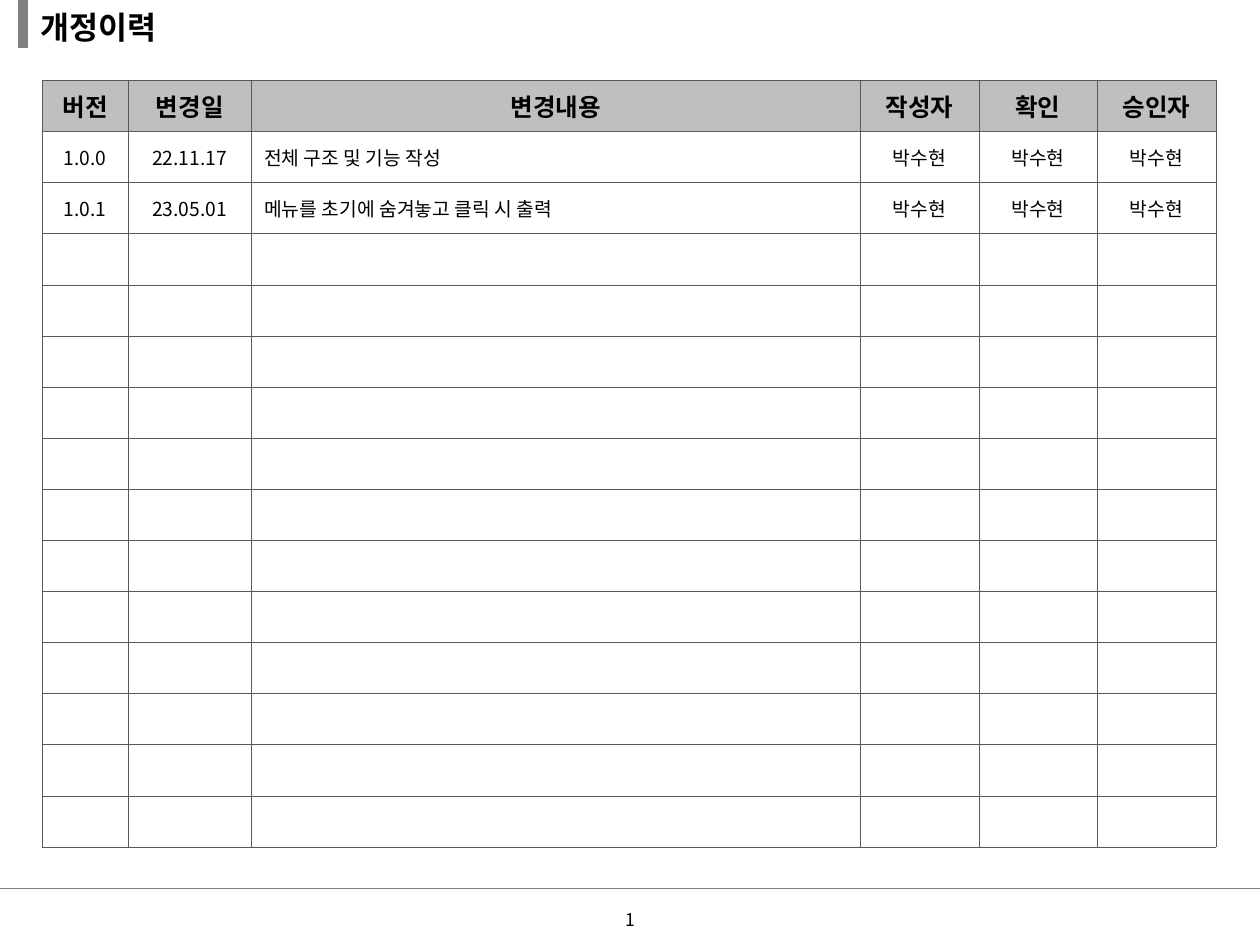
from lxml import etree
from pptx import Presentation
from pptx import util as u
from pptx.dml.color import RGBColor
from pptx.enum import shapes, text
from pptx.oxml import ns

BLACK = RGBColor(0x00, 0x00, 0x00)
GRAY = RGBColor(0x80, 0x80, 0x80)
SILVER = RGBColor(0xBF, 0xBF, 0xBF)
EDGE = RGBColor(0x59, 0x59, 0x59)
MID = text.MSO_ANCHOR.MIDDLE
LEFT = text.PP_ALIGN.LEFT
CENTER = text.PP_ALIGN.CENTER

HEADS = ["버전", "변경일", "변경내용", "작성자", "확인", "승인자"]
LOGS = [
    ["1.0.0", "22.11.17", "전체 구조 및 기능 작성"] + ["박수현"] * 3,
    ["1.0.1", "23.05.01", "메뉴를 초기에 숨겨놓고 클릭 시 출력"] + ["박수현"] * 3,
]
WIDTHS = [1.73, 2.49, 12.27, 2.39, 2.39, 2.39]
ROWS = 15
TALL = 1.03


def apply(item, values):
    for key, value in values.items():
        setattr(item, key, value)


def add(node, tag, **attrs):
    return etree.SubElement(node, ns.qn(tag), attrs)


class Page:
    font = "Noto Sans CJK KR"

    def __init__(self, slide):
        self.slide = slide

    def fill_text(self, frame, words, size, bold=False, align=LEFT):
        para = frame.paragraphs[0]
        para.alignment = align
        if not words:
            add(para._p, "a:endParaRPr", sz=str(size * 100))
            return
        run = para.add_run()
        run.text = words
        apply(run.font, {"name": self.font, "size": u.Pt(size), "bold": bold})
        run.font.color.rgb = BLACK
        add(run._r.get_or_add_rPr(), "a:ea", typeface=self.font)

    def place(self, shape, box):
        keys = ("left", "top", "width", "height")
        apply(shape, dict(zip(keys, map(u.Cm, box))))

    def title(self, words, box):
        shape = self.slide.shapes.title
        self.place(shape, box)
        apply(shape.text_frame, {"vertical_anchor": MID, "word_wrap": True,
                                 "auto_size": text.MSO_AUTO_SIZE.NONE})
        self.fill_text(shape.text_frame, words, 18, True)

    def label(self, words, box):
        shape = self.slide.shapes.add_textbox(*map(u.Cm, box))
        apply(shape.text_frame, {"vertical_anchor": MID, "word_wrap": True})
        self.fill_text(shape.text_frame, words, 10, align=CENTER)

    def line(self, ends, width):
        kind = shapes.MSO_CONNECTOR.STRAIGHT
        line = self.slide.shapes.add_connector(kind, *map(u.Cm, ends))
        line.line.color.rgb = GRAY
        line.line.width = u.Pt(width)
        add(line._element.spPr, "a:effectLst")

    def border(self, cell):
        props = cell._tc.get_or_add_tcPr()
        for side in "LRTB":
            edge = add(props, f"a:ln{side}", w=str(u.Pt(0.25)))
            add(add(edge, "a:solidFill"), "a:srgbClr", val=str(EDGE))

    def table(self, left, top):
        size = map(u.Cm, (left, top, sum(WIDTHS), ROWS * TALL))
        table = self.slide.shapes.add_table(ROWS, len(WIDTHS), *size).table
        apply(table, {"first_row": False, "horz_banding": False})
        for col, width in zip(table.columns, WIDTHS):
            col.width = u.Cm(width)
        blank = [[""] * len(WIDTHS)] * (ROWS - 1 - len(LOGS))
        for i, (row, data) in enumerate(zip(table.rows, [HEADS] + LOGS + blank)):
            row.height = u.Cm(TALL)
            head = i == 0
            for j, (cell, words) in enumerate(zip(row.cells, data)):
                cell.vertical_anchor = MID
                self.border(cell)
                if head:
                    cell.fill.solid()
                    cell.fill.fore_color.rgb = SILVER
                else:
                    cell.fill.background()
                align = CENTER if head or j != 2 else LEFT
                self.fill_text(cell.text_frame, words, 14 if head else 11, head, align)


def main():
    deck = Presentation()
    apply(deck, {"slide_width": u.Cm(25.4), "slide_height": u.Cm(19.05)})
    page = Page(deck.slides.add_slide(deck.slide_layouts[5]))
    page.line((0, 17.91, 25.4, 17.91), 0.75)
    page.line((0.46, -0.05, 0.46, 0.97), 6)
    page.label("1", (0, 18.03, 25.4, 1.02))
    page.table(0.85, 1.62)
    page.title("개정이력", (0.56, 0, 7.54, 1.07))
    deck.save("out.pptx")


if __name__ == "__main__":
    main()
